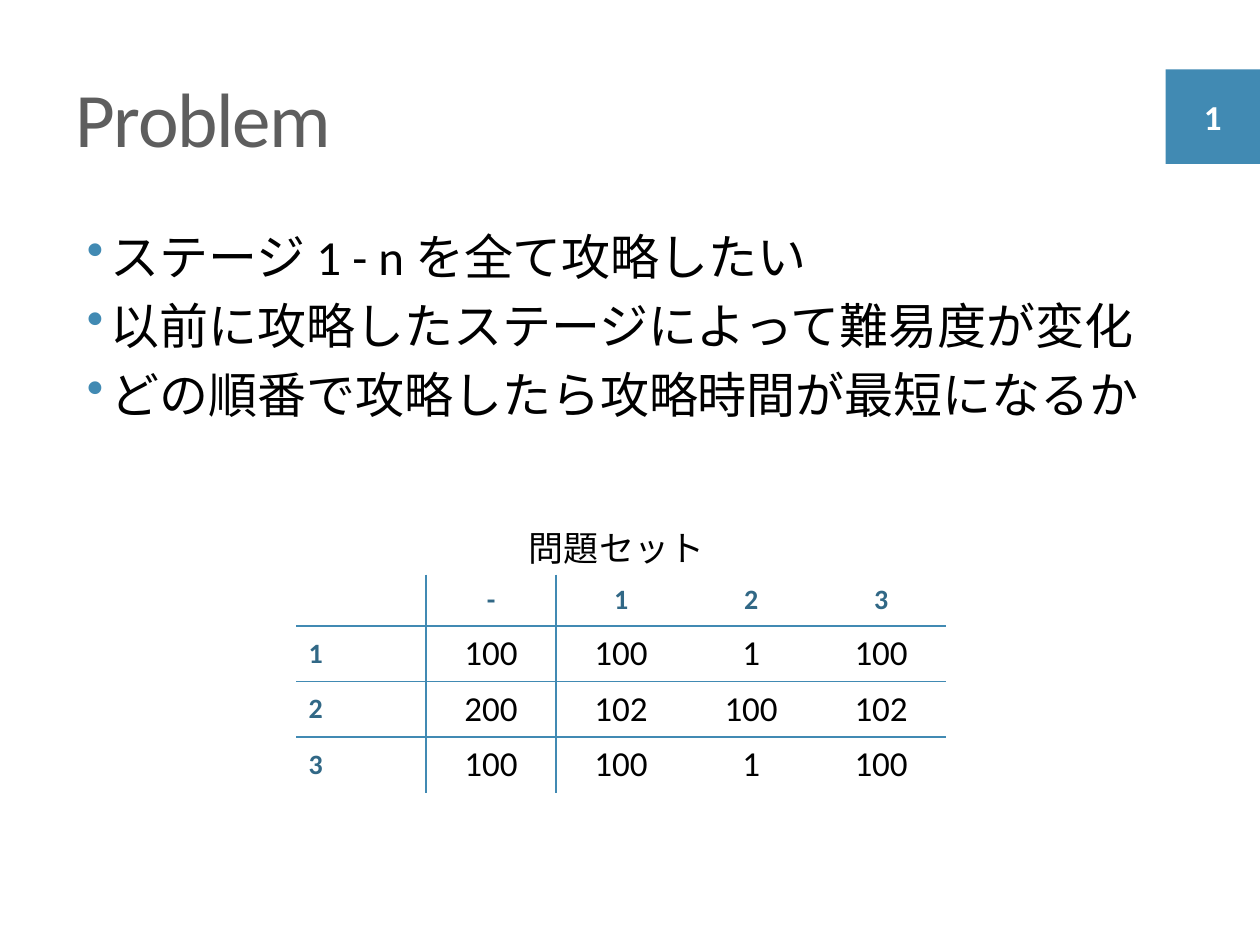
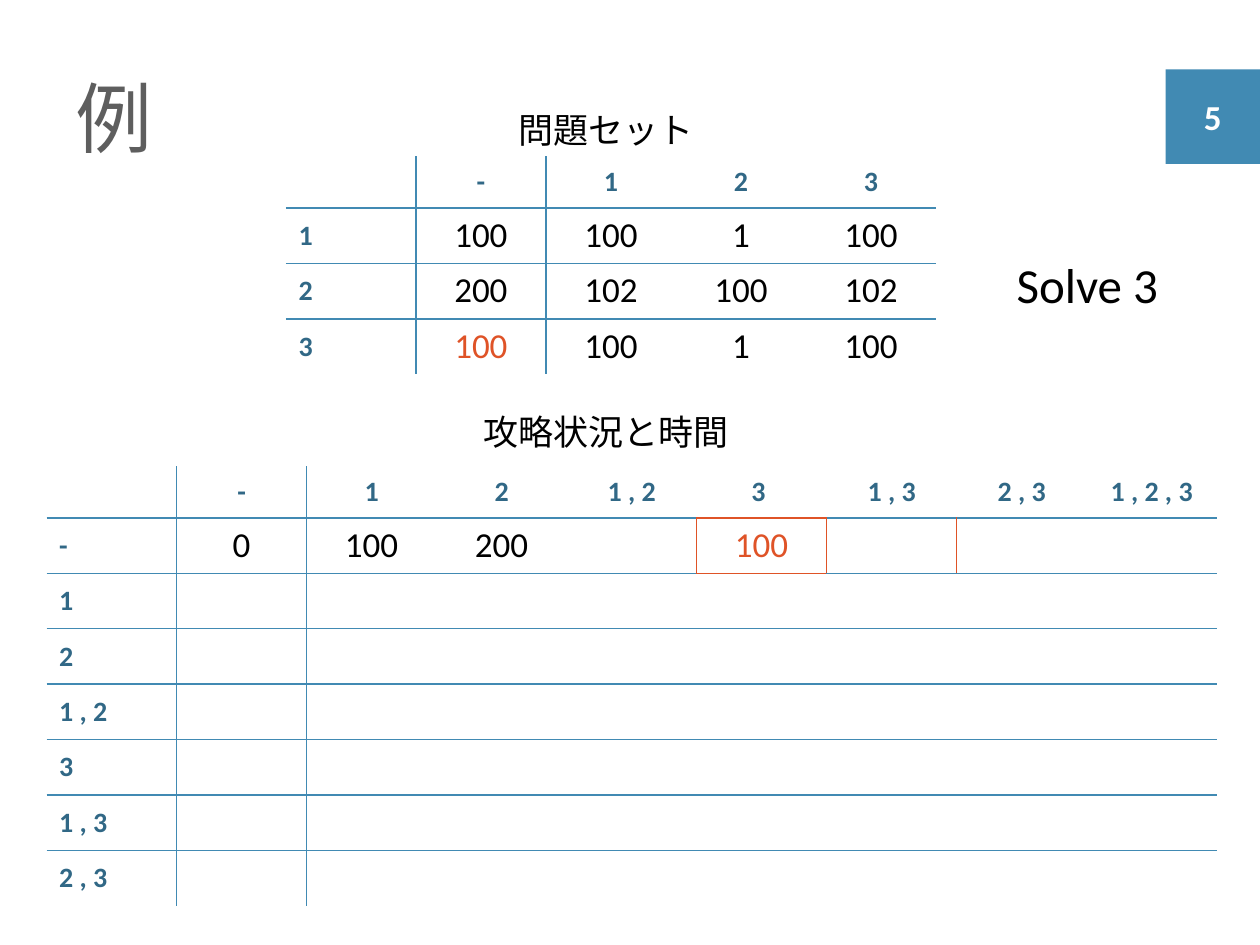
"""Build two slides on the order in which to clear stages."""
from dataclasses import dataclass
from lxml import etree
from pptx import Presentation
from pptx import util as u
from pptx.dml.color import RGBColor
from pptx.enum import shapes, text
from pptx.oxml.ns import qn

Pt = u.Pt


@dataclass(frozen=True)
class Theme:
    font: str = "Calibri"
    blue: str = "418AB3"
    navy: str = "316886"
    red: str = "DF5327"
    grey: str = "5E5E5E"
    black: str = "000000"
    white: str = "FFFFFF"
    title: int = 44
    body: int = 28
    cell: int = 20
    head: int = 16


T = Theme()
COL, TOP, ROW = 74.3, 29.5, 31.7
PLAIN = "{2D5ABB26-0587-4C30-8999-92F81FD0307C}"

COSTS = [
    ["", "-", "1", "2", "3"],
    ["1", "100", "100", "1", "100"],
    ["2", "200", "102", "100", "102"],
    ["3", "100", "100", "1", "100"],
]
STATES = ["-", "1", "2", "1 , 2", "3 ", "1 , 3", "2 , 3", "1 , 2 , 3"]
TIMES = {"-": ["0", "100", "200", "", "100"]}
STEPS = [[""] + STATES]
for name in STATES[:-1]:
    known = TIMES.get(name, [])
    STEPS.append([name.strip()] + known + [""] * (len(STATES) - len(known)))

SLIDES = [
    {
        "title": "Problem", "page": "1",
        "points": [
            "ステージ 1 - n を全て攻略したい",
            "以前に攻略したステージによって難易度が変化",
            "どの順番で攻略したら攻略時間が最短になるか",
        ],
        "grids": [{"rows": COSTS, "at": (169.2, 328.3)}],
        "notes": [("問題セット", T.cell, (295.2, 297.4, 115.2, 31.7))],
    },
    {
        "title": "例", "page": "5", "points": [],
        "grids": [
            {"rows": STEPS, "at": (26.6, 266.4), "hot": (1, 5),
             "walls": {(1, 5), (1, 6), (1, 7)}, "rims": {(1, 5), (2, 5)}},
            {"rows": COSTS, "at": (163.4, 89.3), "hot": (3, 1)},
        ],
        "notes": [
            ("問題セット", T.cell, (289.4, 58.3, 115.2, 31.7)),
            ("攻略状況と時間", T.cell, (269.3, 231.1, 156.2, 31.7)),
            ("Solve 3", T.body, (573.8, 141.8, 106.6, 41)),
        ],
    },
]


def style(para, size, hue, bold=False, mid=False):
    font = para.font
    font.name, font.size, font.bold = T.font, Pt(size), bold
    font.color.rgb = RGBColor.from_string(hue)
    para.alignment = text.PP_ALIGN.CENTER if mid else text.PP_ALIGN.LEFT


def write(slide, lines, size, hue, box, wrap=True):
    frame = slide.shapes.add_textbox(*map(Pt, box)).text_frame
    frame.word_wrap = wrap
    frame.text = "\n".join(lines)
    for para in frame.paragraphs:
        style(para, size, hue)
    return frame


def head(slide, title, page):
    frame = write(slide, [title], T.title, T.grey, (36, 21.6, 668.9, 90))
    frame.vertical_anchor = text.MSO_ANCHOR.MIDDLE
    frame.paragraphs[0].runs[0].font._element.set("spc", "-80")
    tab = slide.shapes.add_shape(
        shapes.MSO_SHAPE.RECTANGLE, Pt(666), Pt(39.6), Pt(54), Pt(54))
    tab.shadow.inherit = False
    tab.fill.solid()
    tab.fill.fore_color.rgb = RGBColor.from_string(T.blue)
    tab.line.fill.background()
    tab.text_frame.text = page
    tab.text_frame.vertical_anchor = text.MSO_ANCHOR.MIDDLE
    style(tab.text_frame.paragraphs[0], 20, T.white, True, True)


def list_points(slide, points):
    frame = write(slide, points, T.body, T.black, (36, 126, 668.9, 378))
    for para in frame.paragraphs:
        para.space_before = Pt(5.6)
        props = para._p.get_or_add_pPr()
        props.set("marL", str(Pt(20.2)))
        props.set("indent", str(-Pt(13.7)))
        tint = etree.SubElement(props, qn("a:buClr"))
        etree.SubElement(tint, qn("a:srgbClr"), val=T.blue)
        etree.SubElement(props, qn("a:buChar"), char="•")


def edge(cell, side, hue):
    props = cell._tc.get_or_add_tcPr()
    line = etree.SubElement(props, qn("a:ln" + side), w=str(Pt(1)))
    if hue:
        fill = etree.SubElement(line, qn("a:solidFill"))
        etree.SubElement(fill, qn("a:srgbClr"), val=hue)
    else:
        etree.SubElement(line, qn("a:noFill"))


def draw_grid(slide, rows, at, hot=None, walls=(), rims=()):
    high, wide = len(rows), len(rows[0])
    size = wide * COL, TOP + (high - 1) * ROW
    table = slide.shapes.add_table(high, wide, *map(Pt, at + size)).table
    table.first_row = table.horz_banding = False
    table._tbl.tblPr.find(qn("a:tableStyleId")).text = PLAIN
    for col in table.columns:
        col.width = Pt(COL)

    def wall(r, c):
        return T.red if (r, c) in walls else T.blue if c in (1, 2) else None

    def rim(r, c):
        return T.red if (r, c) in rims else T.blue if 0 < r < high else None

    for r, row in enumerate(rows):
        table.rows[r].height = Pt(ROW if r else TOP)
        for c, word in enumerate(row):
            cell = table.cell(r, c)
            cell.vertical_anchor = text.MSO_ANCHOR.MIDDLE
            edge(cell, "L", wall(r, c))
            edge(cell, "R", wall(r, c + 1))
            edge(cell, "T", rim(r, c))
            edge(cell, "B", rim(r + 1, c))
            cell.fill.background()
            cell.text = word
            label = r == 0 or c == 0
            hue = T.navy if label else T.red if (r, c) == hot else T.black
            style(cell.text_frame.paragraphs[0],
                  T.head if label else T.cell, hue, label, c > 0)


def main():
    deck = Presentation()
    deck.slide_width, deck.slide_height = Pt(720), Pt(540)
    for page in SLIDES:
        slide = deck.slides.add_slide(deck.slide_layouts[6])
        head(slide, page["title"], page["page"])
        if page["points"]:
            list_points(slide, page["points"])
        for grid in page["grids"]:
            draw_grid(slide, **grid)
        for words, size, box in page["notes"]:
            write(slide, [words], size, T.black, box, False)
    deck.save("out.pptx")


main()
